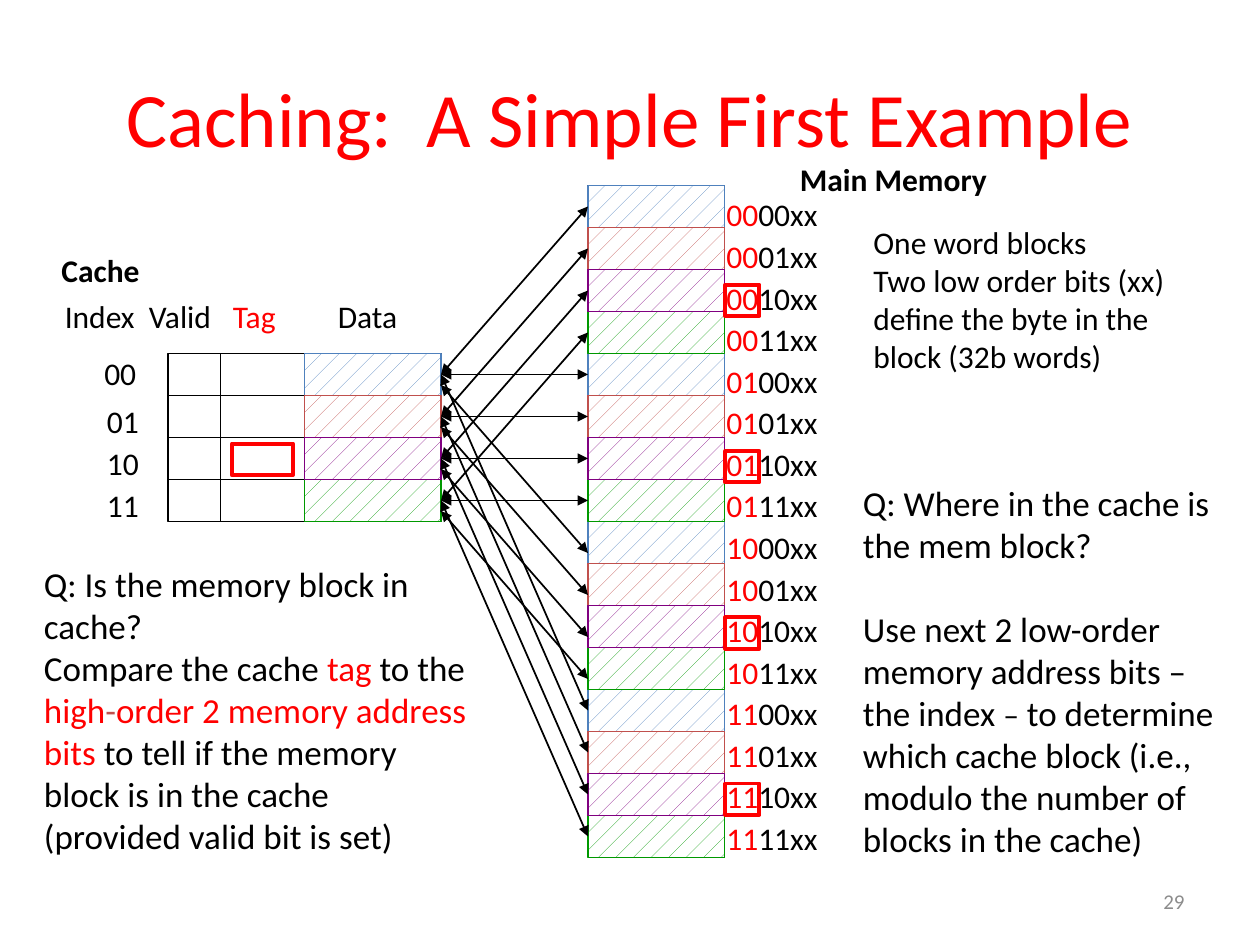
"""Build the slide on a simple direct-mapped cache and its main memory."""
from lxml.etree import SubElement
from pptx import Presentation
from pptx.dml.color import RGBColor
from pptx.enum.dml import MSO_PATTERN
from pptx.enum.shapes import MSO_CONNECTOR, MSO_SHAPE
from pptx.enum.text import MSO_ANCHOR, PP_ALIGN
from pptx.oxml.ns import qn
from pptx.util import Pt

THEME = {
    "font": "Calibri",
    "black": RGBColor(0, 0, 0),
    "red": RGBColor(0xFF, 0, 0),
    "gray": RGBColor(0x8C, 0x8C, 0x8C),
    "white": RGBColor(0xFF, 0xFF, 0xFF),
    "brick": RGBColor(0xC0, 0x50, 0x4D),
    "blue": RGBColor(0x4F, 0x81, 0xBD),
    "purple": RGBColor(0x80, 0, 0x80),
    "green": RGBColor(0, 0x99, 0),
    "title": Pt(44),
    "body": Pt(20),
    "label": Pt(18),
    "number": Pt(12),
}
INDEX_COLORS = ["blue", "brick", "purple", "green"]
ROW = 24
CACHE_TOP, VALID_LEFT, TAG_LEFT, DATA_LEFT = 202, 96, 126, 174
MEMORY_TOP, MEMORY_LEFT, MEMORY_ROWS = 106, 336, 16
BLOCK_WIDTH = 78
DATA_RIGHT = DATA_LEFT + BLOCK_WIDTH
MEMORY_RIGHT = MEMORY_LEFT + BLOCK_WIDTH
MEMORY_BOTTOM = MEMORY_TOP + MEMORY_ROWS * ROW

deck = Presentation()
deck.slide_width, deck.slide_height = Pt(720), Pt(540)
slide = deck.slides.add_slide(deck.slide_layouts[6])


def add_text(left, top, width, height, paragraphs, size="label", bold=False):
    """Add a text box whose paragraphs are lists of (text, colour) runs."""
    box = slide.shapes.add_textbox(Pt(left), Pt(top), Pt(width), Pt(height))
    frame = box.text_frame
    frame.word_wrap = True
    for number, runs in enumerate(paragraphs):
        paragraph = frame.add_paragraph() if number else frame.paragraphs[0]
        paragraph.font.size = THEME[size]
        for text, color in runs:
            if text == "\n":
                paragraph.add_line_break()
                continue
            run = paragraph.add_run()
            run.text = text
            run.font.name, run.font.size = THEME["font"], THEME[size]
            run.font.bold = bold
            run.font.color.rgb = THEME[color]
    return frame


def add_line(x1, y1, x2, y2, arrows=False):
    """Add a thin black line, with arrowheads at both ends if asked."""
    line = slide.shapes.add_connector(MSO_CONNECTOR.STRAIGHT, Pt(x1), Pt(y1), Pt(x2), Pt(y2))
    line.line.color.rgb, line.line.width = THEME["black"], Pt(1)
    if arrows:
        for end in ("a:headEnd", "a:tailEnd"):
            SubElement(line.line._get_or_add_ln(), qn(end), type="triangle")
    SubElement(line._element.spPr, qn("a:effectLst"))


title = add_text(36, 21.6, 648, 90, [[("Caching:  A Simple First Example", "red")]], "title")
title.vertical_anchor = MSO_ANCHOR.MIDDLE
title.paragraphs[0].alignment = PP_ALIGN.CENTER

for row in range(1, 4):
    add_line(VALID_LEFT, CACHE_TOP + row * ROW, DATA_RIGHT, CACHE_TOP + row * ROW)
for row in range(MEMORY_ROWS + 1):
    add_line(MEMORY_LEFT, MEMORY_TOP + row * ROW, MEMORY_RIGHT, MEMORY_TOP + row * ROW)
for side in (MEMORY_LEFT, MEMORY_RIGHT):
    add_line(side, MEMORY_TOP, side, MEMORY_BOTTOM)

column_edges = [VALID_LEFT, TAG_LEFT, DATA_LEFT, DATA_RIGHT]
rectangles = [
    (left, CACHE_TOP, right - left, 4 * ROW, "black", 1, False)
    for left, right in zip(column_edges, column_edges[1:])
]
for index in (0, 3, 1, 2):
    spots = [(DATA_LEFT, CACHE_TOP + index * ROW)]
    spots += [(MEMORY_LEFT, MEMORY_TOP + row * ROW) for row in range(index, MEMORY_ROWS, 4)]
    rectangles += [(x, y, BLOCK_WIDTH, ROW, INDEX_COLORS[index], 1, True) for x, y in spots]
rectangles.append((132.5, 253.5, 35, 18, "red", 2.25, False))
rectangles += [(414.5, 162.7 + 95 * group, 19.5, 18, "red", 2.25, False) for group in range(4)]

for left, top, width, height, color, weight, hatched in rectangles:
    cell = slide.shapes.add_shape(MSO_SHAPE.RECTANGLE, Pt(left), Pt(top), Pt(width), Pt(height))
    cell.shadow.inherit = False
    cell.line.color.rgb, cell.line.width = THEME[color], Pt(weight)
    if hatched:
        cell.fill.patterned()
        cell.fill.pattern = MSO_PATTERN.PERCENT_5
        cell.fill.fore_color.rgb = THEME[color]
        cell.fill.back_color.rgb = THEME["white"]
    else:
        cell.fill.background()

for row in range(MEMORY_ROWS):
    drop = ROW / 2 + (6 if row // 4 == 2 else 0)
    memory_y = MEMORY_TOP + row * ROW + drop
    cache_y = CACHE_TOP + row % 4 * ROW + drop
    add_line(MEMORY_LEFT, memory_y, DATA_RIGHT, cache_y, arrows=True)

for label, left, top, width, color, bold in [
    ("Cache", 28, 139.7, 68, "black", True),
    ("Main Memory", 450, 87.8, 130, "black", True),
    ("Index", 30, 166, 58, "black", False),
    ("Valid", 78, 166, 55, "black", False),
    ("Tag", 126, 166, 42, "red", False),
    ("Data", 186, 166, 53, "black", False),
    ("00", 52.5, 199, 35, "black", False),
    ("01", 54, 226, 35, "black", False),
    ("10", 54, 250, 35, "black", False),
    ("11", 54, 274, 35, "black", False),
]:
    add_text(left, top, width, 29, [[(label, color)]], bold=bold)

addresses = add_text(408, 106, 78, 387, [
    [(f"{row // 4:02b}", "red"), (f"{row % 4:02b}xx", "black")] for row in range(MEMORY_ROWS)
])
for address in addresses.paragraphs:
    address.line_spacing = 1.1

add_text(492, 124, 198, 94, [
    [("One word blocks", "black")],
    [("Two low order bits (xx) define the byte in the block (32b words)", "black")],
])

placement = add_text(486, 271.5, 216, 225, [
    [("Q: Where in the cache is the mem block?", "black")],
    [
        ("Use next 2 low-order memory address bits – the index ", "black"),
        ("–", "black"),
        (" to determine which cache block (i.e., modulo the number of blocks in the cache)", "black"),
    ],
], "body")
placement.paragraphs[1].space_before = Pt(24)
placement.paragraphs[1].runs[1].font.size = THEME["label"]

add_text(18, 318, 258.5, 177, [
    [("Q: Is the memory block in cache?", "black")],
    [
        ("Compare the cache ", "black"),
        ("tag ", "red"),
        ("to the ", "black"),
        ("high", "red"),
        ("-", "brick"),
        ("order 2 memory address bits ", "red"),
        ("to tell if the memory block is in the cache ", "black"),
        ("\n", "black"),
        ("(provided valid bit is set)", "black"),
    ],
], "body")

page_number = add_text(516, 500.5, 168, 28.8, [[("29", "gray")]], "number")
page_number.vertical_anchor = MSO_ANCHOR.MIDDLE
page_number.paragraphs[0].alignment = PP_ALIGN.RIGHT

deck.save("out.pptx")
